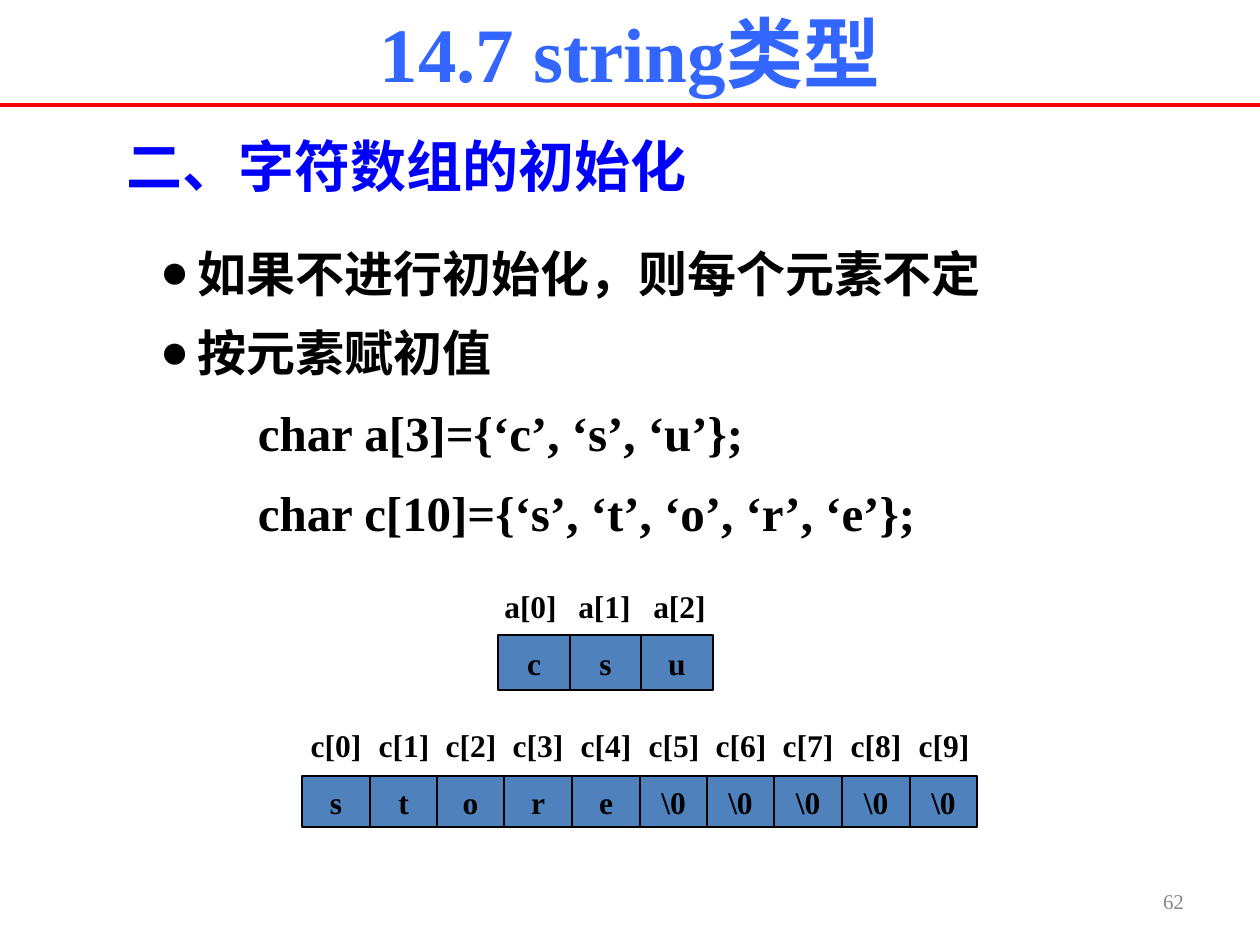
from dataclasses import dataclass

from lxml.etree import SubElement
from pptx import Presentation
from pptx.dml.color import RGBColor
from pptx.enum.shapes import MSO_CONNECTOR, MSO_SHAPE
from pptx.enum.text import MSO_ANCHOR, MSO_AUTO_SIZE, PP_ALIGN
from pptx.oxml.ns import qn
from pptx.util import Emu, Pt

EMU_PER_INCH = 914400
PX_PER_INCH = 126


@dataclass(frozen=True)
class Theme:
    font: str = "Times New Roman"
    black: str = "000000"
    title_blue: str = "3366FF"
    heading_blue: str = "0000FF"
    cell_blue: str = "4F81BD"
    rule_red: str = "FF0000"
    number_gray: str = "898989"
    title_size: int = 44
    heading_size: int = 32
    body_size: int = 28
    cell_size: int = 18
    number_size: int = 12


@dataclass(frozen=True)
class Box:
    left: int
    top: int
    width: int
    height: int


@dataclass(frozen=True)
class BodyLine:
    text: str
    bulleted: bool


@dataclass(frozen=True)
class ArrayRow:
    name: str
    values: tuple[str, ...]
    cells: Box
    labels: Box
    label_width: int


THEME = Theme()

BODY_LINES = (
    BodyLine("如果不进行初始化，则每个元素不定", True),
    BodyLine("按元素赋初值", True),
    BodyLine("        char a[3]={‘c’, ‘s’, ‘u’};", False),
    BodyLine("        char c[10]={‘s’, ‘t’, ‘o’, ‘r’, ‘e’};", False),
)

ARRAY_ROWS = (
    ArrayRow("c", (*"store", *("\\0",) * 5),
             Box(302, 776, 675, 51), Box(302, 726, 675, 38), 68),
    ArrayRow("a", tuple("csu"),
             Box(498, 635, 215, 55), Box(501, 587, 223, 38), 59),
)


def px(length: int) -> Emu:
    return Emu(round(length * EMU_PER_INCH / PX_PER_INCH))


def place(shape, box: Box) -> None:
    shape.left, shape.top = px(box.left), px(box.top)
    shape.width, shape.height = px(box.width), px(box.height)


def add_text(paragraph, text: str, size: int, color: str, bold: bool = True) -> None:
    run = paragraph.add_run()
    run.text = text
    run.font.name = THEME.font
    run.font.size = Pt(size)
    run.font.bold = bold
    run.font.color.rgb = RGBColor.from_string(color)


def set_frame(shape, anchor: MSO_ANCHOR, inset: tuple[int, int] = (13, 6)) -> None:
    frame = shape.text_frame
    frame.word_wrap = True
    frame.auto_size = MSO_AUTO_SIZE.NONE
    frame.vertical_anchor = anchor
    frame.margin_left = frame.margin_right = px(inset[0])
    frame.margin_top = frame.margin_bottom = px(inset[1])


def set_bullet(paragraph, bulleted: bool) -> None:
    properties = paragraph._p.get_or_add_pPr()
    properties.set("marL", str(px(38)))
    properties.set("indent", str(-px(38)))
    if bulleted:
        bullet_color = SubElement(properties, qn("a:buClr"))
        SubElement(bullet_color, qn("a:srgbClr"), val=THEME.black)
        SubElement(properties, qn("a:buFont"), typeface=THEME.font)
        SubElement(properties, qn("a:buChar"), char="●")
    else:
        SubElement(properties, qn("a:buNone"))


def add_rule(slide) -> None:
    rule = slide.shapes.add_connector(
        MSO_CONNECTOR.STRAIGHT, px(0), px(105), px(1260), px(105))
    rule.line.color.rgb = RGBColor.from_string(THEME.rule_red)
    rule.line.width = Pt(2.25)
    SubElement(rule._element.spPr, qn("a:effectLst"))


def fill_title(title) -> None:
    place(title, Box(87, 0, 1086, 106))
    set_frame(title, MSO_ANCHOR.TOP)
    paragraph = title.text_frame.paragraphs[0]
    paragraph.alignment = PP_ALIGN.CENTER
    add_text(paragraph, "14.7 string类型", THEME.title_size, THEME.title_blue)


def fill_body(body) -> None:
    place(body, Box(147, 237, 983, 311))
    set_frame(body, MSO_ANCHOR.TOP)
    frame = body.text_frame
    for index, line in enumerate(BODY_LINES):
        paragraph = frame.add_paragraph() if index else frame.paragraphs[0]
        set_bullet(paragraph, line.bulleted)
        paragraph.space_before = Pt(12 if index else 0)
        add_text(paragraph, line.text, THEME.body_size, THEME.black)


def add_text_box(slide, box: Box, text: str, size: int, color: str,
                 alignment: PP_ALIGN, anchor: MSO_ANCHOR,
                 inset: tuple[int, int] = (13, 6), bold: bool = True) -> None:
    text_box = slide.shapes.add_textbox(0, 0, 0, 0)
    place(text_box, box)
    set_frame(text_box, anchor, inset)
    paragraph = text_box.text_frame.paragraphs[0]
    paragraph.alignment = alignment
    add_text(paragraph, text, size, color, bold)


def add_cell(slide, box: Box, value: str) -> None:
    cell = slide.shapes.add_shape(MSO_SHAPE.RECTANGLE, 0, 0, 0, 0)
    place(cell, box)
    cell.shadow.inherit = False
    cell.fill.solid()
    cell.fill.fore_color.rgb = RGBColor.from_string(THEME.cell_blue)
    cell.line.color.rgb = RGBColor.from_string(THEME.black)
    cell.line.width = Pt(0.75)
    set_frame(cell, MSO_ANCHOR.MIDDLE)
    paragraph = cell.text_frame.paragraphs[0]
    paragraph.alignment = PP_ALIGN.CENTER
    add_text(paragraph, value, THEME.cell_size, THEME.black)


def add_array_row(slide, row: ArrayRow) -> None:
    count = len(row.values)
    for index, value in enumerate(row.values):
        label_left = row.labels.left + round(index * row.labels.width / count)
        add_text_box(
            slide, Box(label_left, row.labels.top, row.label_width, row.labels.height),
            f"{row.name}[{index}]", THEME.cell_size, THEME.black,
            PP_ALIGN.CENTER, MSO_ANCHOR.MIDDLE, (0, 0))
        left, right = (row.cells.left + round(edge * row.cells.width / count)
                       for edge in (index, index + 1))
        add_cell(slide, Box(left, row.cells.top, right - left, row.cells.height), value)


def main() -> None:
    presentation = Presentation()
    presentation.slide_width, presentation.slide_height = px(1260), px(945)
    slide = presentation.slides.add_slide(presentation.slide_layouts[1])
    add_rule(slide)
    fill_title(slide.shapes.title)
    add_text_box(slide, Box(113, 125, 714, 81), "二、字符数组的初始化",
                 THEME.heading_size, THEME.heading_blue, PP_ALIGN.LEFT, MSO_ANCHOR.TOP)
    fill_body(slide.placeholders[1])
    for row in ARRAY_ROWS:
        add_array_row(slide, row)
    add_text_box(slide, Box(903, 876, 294, 50), "62", THEME.number_size,
                 THEME.number_gray, PP_ALIGN.RIGHT, MSO_ANCHOR.MIDDLE, bold=False)
    presentation.save("out.pptx")


if __name__ == "__main__":
    main()
